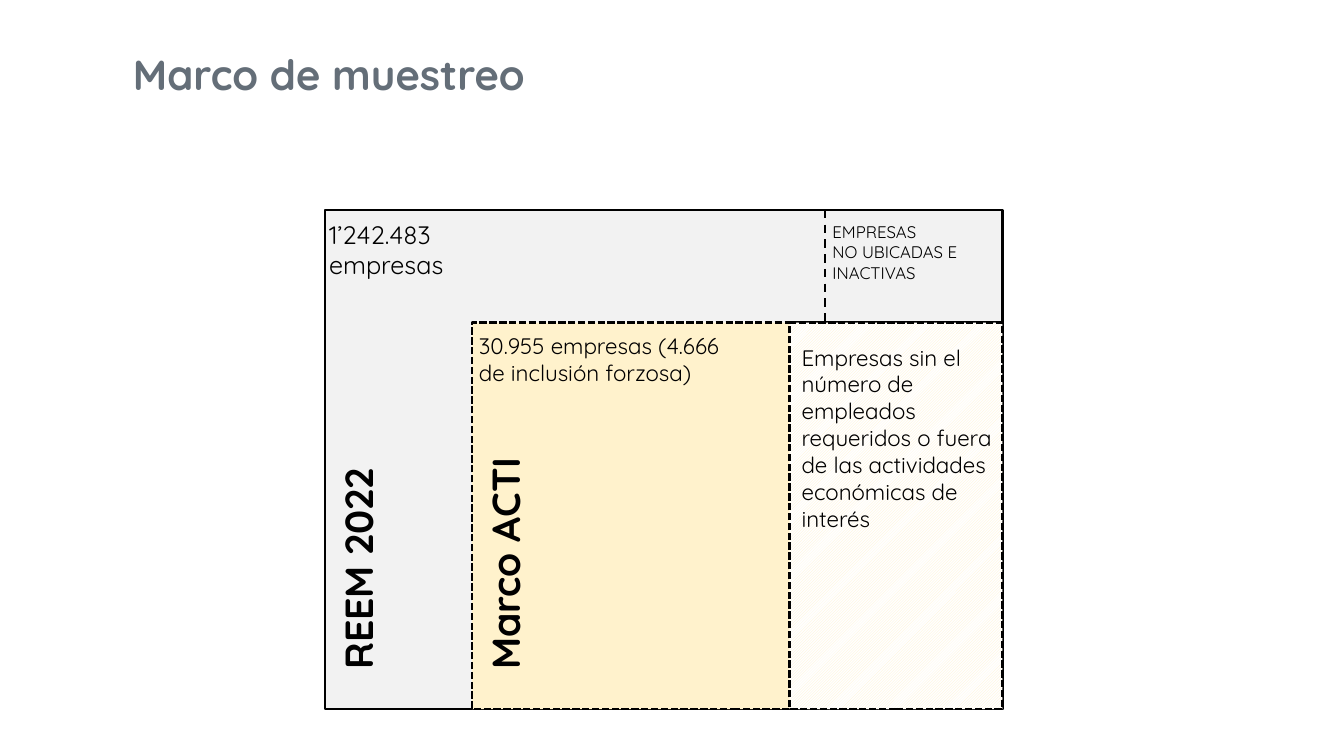
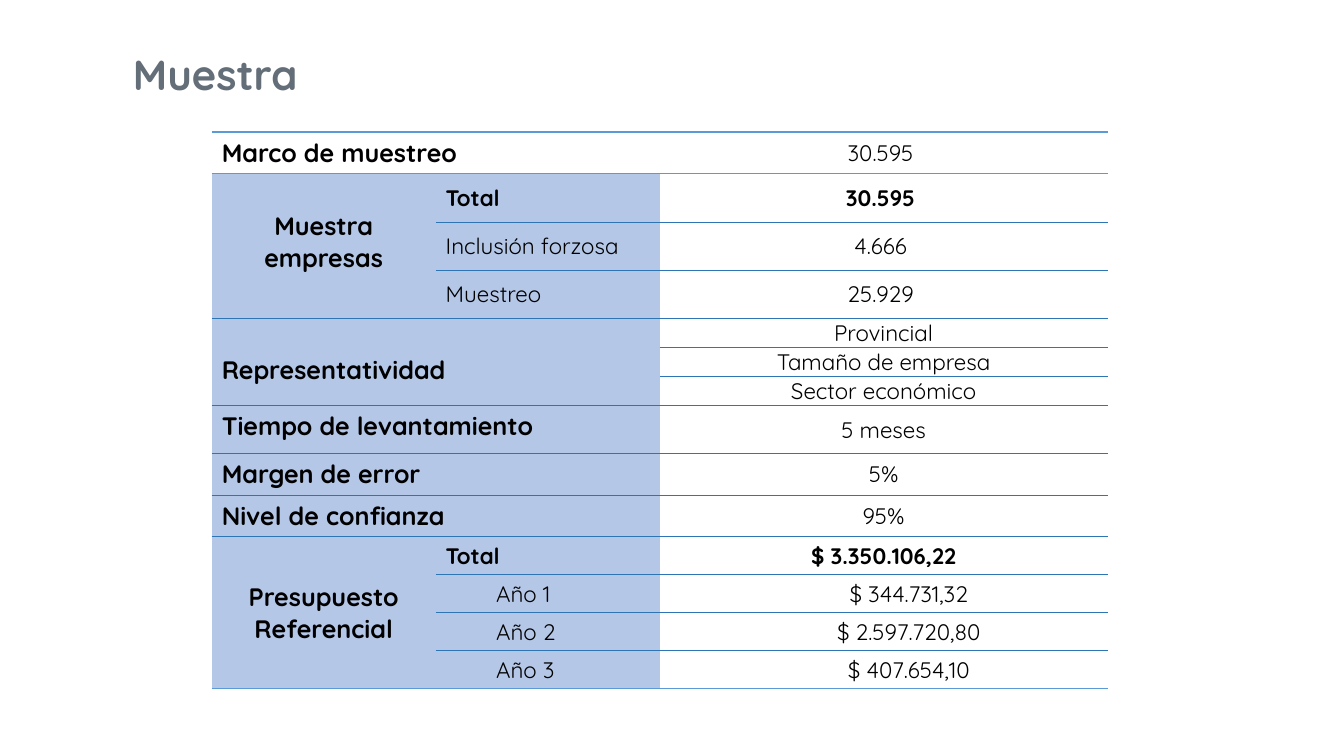
from itertools import product

from lxml import etree
from pptx import Presentation
from pptx.dml.color import RGBColor
from pptx.enum import dml, shapes, text
from pptx.oxml import ns
from pptx.util import Pt

FONT = "Quicksand"
COLOURS = {
    "title": "646E78",
    "ink": "000000",
    "registry": "F2F2F2",
    "frame": "FFF2CC",
    "paper": "FFFFFF",
    "label": "B4C7E7",
    "rule": "2E75B6",
    "edge": "5B9BD5",
}
LEFT, CENTRE = text.PP_ALIGN.LEFT, text.PP_ALIGN.CENTER
TOP, MIDDLE = text.MSO_ANCHOR.TOP, text.MSO_ANCHOR.MIDDLE
DASH = dml.MSO_LINE
NO_STYLE = "{2D5ABB26-0587-4C30-8999-92F81FD0307C}"

TABLE_BOX = (151.2, 94.3, 640)
COLUMN_SHARES = (0.25, 0.25, 0.5)
# Heading, its alignment, its top margin, then (sublabel, value, row height)
SAMPLE_GROUPS = [
    ("Marco de muestreo", LEFT, 3.6, [(None, "30.595 ", 29.7)]),
    ("Muestra empresas", CENTRE, 26.1, [
        ("Total", "30.595 ", 34.4),
        ("Inclusión forzosa", "4.666 ", 34.4),
        ("Muestreo", "25.929 ", 34.4),
    ]),
    ("Representatividad", LEFT, 26.1, [
        (None, "Provincial", 20.7),
        (None, "Tamaño de empresa", 20.7),
        (None, "Sector económico", 20.7),
    ]),
    ("Tiempo de levantamiento", LEFT, 3.6, [(None, "5 meses", 34.4)]),
    ("Margen de error", LEFT, 3.6, [(None, "5%", 29.7)]),
    ("Nivel de confianza", LEFT, 3.6, [(None, "95%", 29.7)]),
    ("Presupuesto\nReferencial", CENTRE, 31.9, [
        ("Total", "$ 3.350.106,22", 27.2),
        ("Año 1", " $ 344.731,32 ", 27.2),
        ("Año 2", " $ 2.597.720,80 ", 27.2),
        ("Año 3", " $ 407.654,10 ", 27.2),
    ]),
]


def rgb(name):
    return RGBColor.from_string(COLOURS[name])


def write(frame, content, size=16, bold=False, colour="ink", align=LEFT,
          spacing=None, indent=0):
    """Fill a text frame, one paragraph for each line of content."""
    frame.word_wrap = True
    for number, line in enumerate(content.split("\n")):
        paragraph = frame.add_paragraph() if number else frame.paragraphs[0]
        paragraph.alignment = align
        if spacing:
            paragraph.line_spacing = spacing
        if indent:
            paragraph.level = 1
            properties = paragraph._p.get_or_add_pPr()
            properties.set("marL", str(Pt(indent)))
            properties.set("indent", "0")
        run = paragraph.add_run()
        run.text = line
        run.font.name = FONT
        run.font.size = Pt(size)
        run.font.bold = bold
        run.font.color.rgb = rgb(colour)


def add_titled_slide(deck, heading):
    slide = deck.slides.add_slide(deck.slide_layouts[5])
    title = slide.shapes.title
    title.left, title.top, title.width, title.height = map(
        Pt, (87.8, 33.8, 568.8, 41.8))
    title.text_frame.auto_size = text.MSO_AUTO_SIZE.NONE
    title.text_frame.vertical_anchor = MIDDLE
    write(title.text_frame, heading, size=30, bold=True, colour="title",
          spacing=0.9)
    return slide


def add_panel(slide, box, fill, dash=None, hatched=False):
    panel = slide.shapes.add_shape(
        shapes.MSO_SHAPE.RECTANGLE, *map(Pt, box))
    panel.shadow.inherit = False
    if hatched:
        panel.fill.patterned()
        panel.fill.pattern = dml.MSO_PATTERN.DARK_UPWARD_DIAGONAL
        panel.fill.fore_color.rgb = rgb(fill)
        panel.fill.back_color.rgb = rgb("paper")
    else:
        panel.fill.solid()
        panel.fill.fore_color.rgb = rgb(fill)
    panel.line.color.rgb = rgb("ink")
    panel.line.width = Pt(1.75)
    if dash:
        panel.line.dash_style = dash


def add_caption(slide, box, content, rotation=0, **style):
    caption = slide.shapes.add_textbox(*map(Pt, box))
    caption.rotation = rotation
    write(caption.text_frame, content, **style)


def add_upright_name(slide, panel, content):
    """Name a panel with text that climbs its left edge from the bottom."""
    left, top, _, height = panel
    length, thickness = 230, 41
    axis, middle = left + 23.5, top + height - 21 - length / 2
    add_caption(slide,
                (axis - length / 2, middle - thickness / 2, length, thickness),
                content, rotation=270, size=28, bold=True)


def add_divider(slide, x, top, bottom):
    divider = slide.shapes.add_connector(
        shapes.MSO_CONNECTOR.STRAIGHT, Pt(x), Pt(top), Pt(x), Pt(bottom))
    divider.line.color.rgb = rgb("ink")
    divider.line.width = Pt(1.5)
    divider.line.dash_style = DASH.DASH
    etree.SubElement(divider._element.spPr, ns.qn("a:effectLst"))


def draw_sampling_frame(slide, box):
    """Nest the survey frame and its exclusions in the registry box."""
    left, top, width, height = box

    def corner(dx, dy):
        return left + dx, top + dy, width - dx, height - dy

    def inside(dx, dy, w, h):
        return left + dx, top + dy, w, h

    survey, excluded = corner(105, 80.5), corner(332, 80.5)
    add_panel(slide, box, "registry")
    add_panel(slide, survey, "frame", DASH.SQUARE_DOT)
    add_upright_name(slide, survey, "Marco ACTI")
    add_upright_name(slide, box, "REEM 2022")
    add_caption(slide, inside(103, 84, 192, 65),
                "30.955 empresas (4.666 de inclusión forzosa)")
    add_caption(slide, inside(-4, 3, 138, 51), "1’242.483 empresas", size=18)
    add_panel(slide, excluded, "frame", DASH.SQUARE_DOT, hatched=True)
    add_divider(slide, left + 357, top, survey[1])
    add_caption(slide, inside(355.5, 5, 127, 51),
                "EMPRESAS\nNO UBICADAS E INACTIVAS", size=12)
    add_caption(slide, inside(333.5, 92, 150, 163),
                "Empresas sin el número de empleados requeridos o fuera de "
                "las actividades económicas de interés")


def rule_cell(cell, sides, count):
    """Draw the horizontal rules; sides maps T and B to a row boundary."""
    properties = cell._tc.get_or_add_tcPr()
    for side in "BT":
        if side not in sides:
            continue
        heavy = sides[side] in (0, 1, count)
        line = etree.Element(ns.qn("a:ln" + side), w=str(Pt(1 if heavy else 0.5)))
        solid = etree.SubElement(line, ns.qn("a:solidFill"))
        etree.SubElement(solid, ns.qn("a:srgbClr"),
                         val=COLOURS["edge" if heavy else "rule"])
        properties.insert(0, line)


def fill_block(table, row, column, content, rows=1, columns=1, fill=None,
               anchor=MIDDLE, margins=(7.2, 3.6, 7.2, 3.6), **style):
    """Write one cell that may span several rows and columns."""
    end = row + rows
    origin = table.cell(row, column)
    for r, c in product(range(row, end), range(column, column + columns)):
        cell = table.cell(r, c)
        if fill:
            cell.fill.solid()
            cell.fill.fore_color.rgb = rgb(fill)
        else:
            cell.fill.background()
        sides = {}
        if r == row:
            sides["T"] = row
        if r == end - 1 or (r, c) == (row, column):
            sides["B"] = end
        rule_cell(cell, sides, len(table.rows))
    if rows * columns > 1:
        origin.merge(table.cell(end - 1, column + columns - 1))
    origin.vertical_anchor = anchor
    (origin.margin_left, origin.margin_top,
     origin.margin_right, origin.margin_bottom) = map(Pt, margins)
    write(origin.text_frame, content, **style)


def draw_sample_table(slide, box, groups):
    left, top, width = box
    lines = [line for group in groups for line in group[3]]
    heights = [height for _, _, height in lines]
    frame = slide.shapes.add_table(
        len(lines), len(COLUMN_SHARES),
        *map(Pt, (left, top, width, sum(heights))))
    table = frame.table
    table.first_row = table.horz_banding = False
    table._tbl.tblPr.find(ns.qn("a:tableStyleId")).text = NO_STYLE
    for column, share in zip(table.columns, COLUMN_SHARES):
        column.width = Pt(width * share)
    for row, height in zip(table.rows, heights):
        row.height = Pt(height)

    start = 0
    for heading, align, margin, members in groups:
        fill = "label" if start else None
        has_sublabels = members[0][0] is not None
        fill_block(table, start, 0, heading, rows=len(members),
                   columns=1 if has_sublabels else 2, fill=fill, anchor=TOP,
                   margins=(7.2, margin, 7.2, 3.6), size=18, bold=True,
                   align=align)
        for row, (sublabel, value, _) in enumerate(members, start):
            style = {"bold": sublabel == "Total",
                     "indent": 36 if (sublabel or "").startswith("Año") else 0}
            if has_sublabels:
                fill_block(table, row, 1, sublabel, fill=fill, **style)
            fill_block(table, row, 2, value, margins=(0.7, 0.7, 0.7, 0),
                       align=CENTRE, **style)
        start += len(members)


def main():
    deck = Presentation()
    deck.slide_width, deck.slide_height = Pt(960), Pt(540)
    draw_sampling_frame(add_titled_slide(deck, "Marco de muestreo"),
                        (232, 150, 484, 356.5))
    draw_sample_table(add_titled_slide(deck, "Muestra"),
                      TABLE_BOX, SAMPLE_GROUPS)
    deck.save("out.pptx")


if __name__ == "__main__":
    main()
